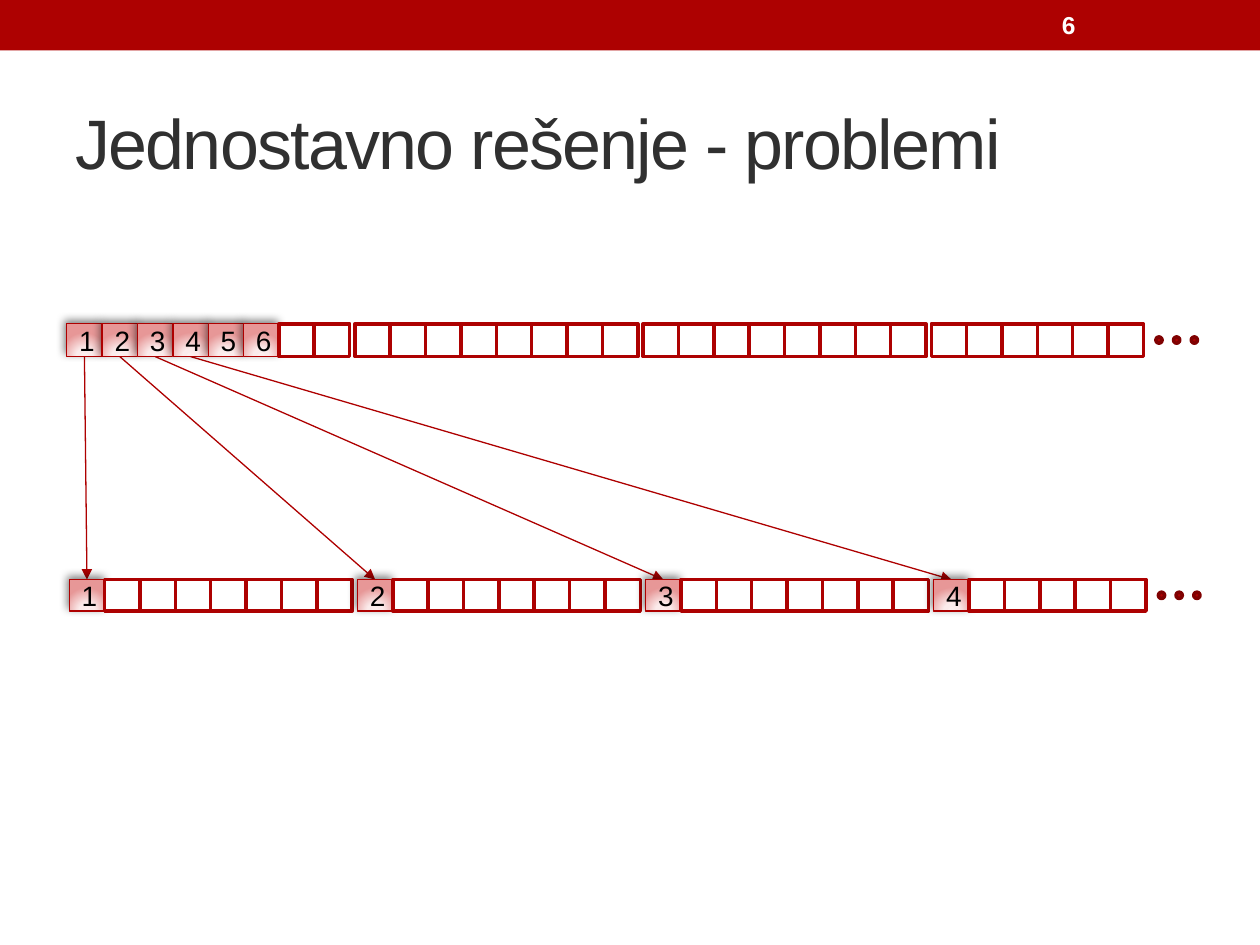
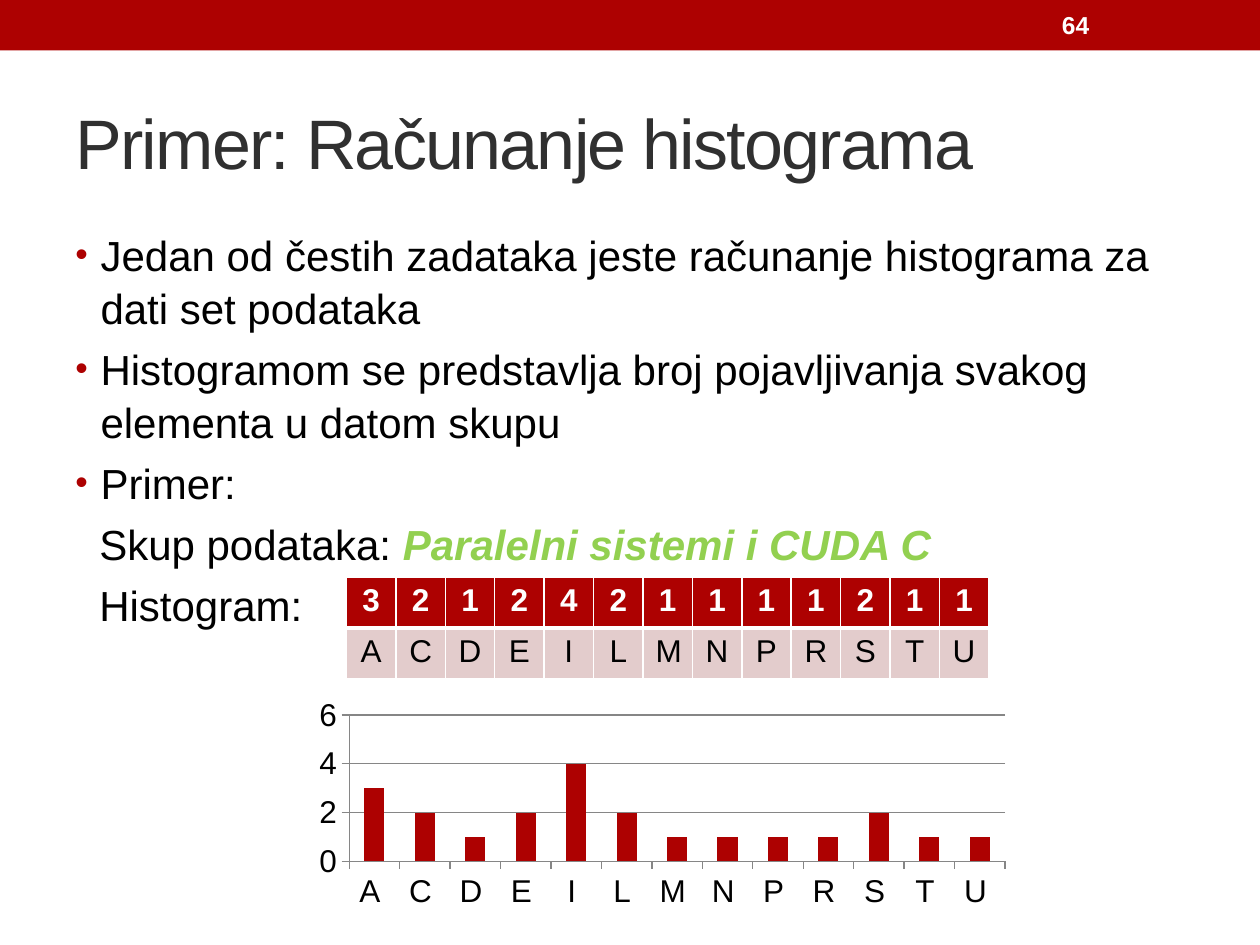
import pptx
import pptx.chart.data
import pptx.dml.color
import pptx.enum.chart
import pptx.enum.shapes
import pptx.enum.text
import pptx.oxml
import pptx.oxml.ns
import pptx.util

Pt = pptx.util.Pt
KIND = pptx.enum.shapes.MSO_SHAPE
ALIGN = pptx.enum.text.PP_ALIGN
MIDDLE = pptx.enum.text.MSO_ANCHOR.MIDDLE
DRAW = 'xmlns:a="http://schemas.openxmlformats.org/drawingml/2006/main"'

WIDE, HIGH = pptx.util.Inches(10), pptx.util.Inches(7.5)
UNIT = WIDE / 100

HUES = {
    "red": "AD0101", "edge": "AE0000", "dark": "800101", "pink": "E3CCCC",
    "white": "FFFFFF", "black": "000000", "title": "303030", "green": "92D050",
    "grey": "868686", "pale": "FDEFEF", "light": "FBEBEB", "rose": "E79797",
}
FORMS = {
    "title": {"name": "Arial", "size": Pt(40), "bold": False},
    "body": {"name": "Arial", "size": Pt(24), "bold": False},
    "set": {"name": "Arial", "size": Pt(24), "bold": True, "italic": True},
    "page": {"name": "Arial", "size": Pt(14), "bold": True},
    "mark": {"name": "Arial", "size": Pt(16), "bold": False},
    "head": {"name": "Arial", "size": Pt(18), "bold": True},
    "plain": {"name": "Arial", "size": Pt(18), "bold": False},
}
BAND = (0, 0, 100, 4)
TITLE = (5, 5.8, 90, 10.8)
PAGE = (83.3, 0.2, 11.7, 3.6)


def tint(name):
    """Return the named colour as an RGB value."""
    return pptx.dml.color.RGBColor.from_string(HUES[name])


def grid(*box):
    """Turn grid units into slide lengths."""
    return [round(part * UNIT) for part in box]


def apply(item, form):
    """Set each format value on the item."""
    for key, value in form.items():
        setattr(item, key, value)


def style(font, form, hue):
    """Give a font its format and colour."""
    apply(font, FORMS[form])
    font.color.rgb = tint(hue)


def node(text):
    """Build a drawing element from its tag and content."""
    return pptx.oxml.parse_xml(text.replace(" ", f" {DRAW} ", 1))


def write(para, text, form, hue):
    """Add a styled run to a paragraph."""
    run = para.add_run()
    run.text = text
    style(run.font, form, hue)
    return run


def shape(slide, kind, box, fill, edge=None, width=0):
    """Add a flat shape, with an edge if one is named."""
    item = slide.shapes.add_shape(kind, *grid(*box))
    item.shadow.inherit = False
    if fill:
        item.fill.solid()
        item.fill.fore_color.rgb = tint(fill)
    if edge:
        item.line.color.rgb = tint(edge)
        item.line.width = Pt(width)
    else:
        item.line.fill.background()
    return item


def label(slide, box, text, form, hue):
    """Add a single line of text, centred in height."""
    frame = slide.shapes.add_textbox(*grid(*box)).text_frame
    apply(frame, {"word_wrap": True, "vertical_anchor": MIDDLE})
    return write(frame.paragraphs[0], text, form, hue)


def start(deck, title, page):
    """Add a slide with the band, title and page number."""
    slide = deck.slides.add_slide(deck.slide_layouts[6])
    shape(slide, KIND.RECTANGLE, BAND, "red")
    run = label(slide, TITLE, title, "title", "title")
    run.font._element.set("spc", "-100")
    label(slide, PAGE, page, "page", "white")
    return slide


def glow(cell):
    """Give a cell its round gradient and soft shadow."""
    stops = "".join(
        f'<a:gs pos="{pos}"><a:srgbClr val="{HUES[hue]}"/></a:gs>'
        for pos, hue in ((0, "pale"), (34000, "light"), (100000, "rose")))
    props = cell.element.spPr
    props.insert(2, node(
        f'<a:gradFill rotWithShape="1"><a:gsLst>{stops}</a:gsLst><a:path path="circle">'
        '<a:fillToRect l="50000" t="155000" r="50000" b="-55000"/></a:path></a:gradFill>'))
    props.find(pptx.oxml.ns.qn("a:effectLst")).append(node(
        f'<a:outerShdw blurRad="{Pt(5)}" dist="{Pt(2)}" dir="{245 * 60000}" rotWithShape="0">'
        f'<a:srgbClr val="{HUES["black"]}"><a:alpha val="50000"/></a:srgbClr></a:outerShdw>'))


def strip(slide, box, marks):
    """Lay out memory cells in groups of eight, then three dots."""
    left, top, width, height = box
    step = width / 32
    cells = []
    for index in range(30):
        group, place = divmod(index, 8)
        spot = (left + step * (group * 8.15 + place), top, step, height)
        if index in marks:
            cell = shape(slide, KIND.RECTANGLE, spot, None, "edge", 0.75)
            glow(cell)
            para = cell.text_frame.paragraphs[0]
            para.alignment = ALIGN.CENTER
            write(para, str(marks.index(index) + 1), "mark", "black")
        else:
            cell = shape(slide, KIND.RECTANGLE, spot, "white", "red", 2)
        cells.append(cell)
    for index in range(3):
        spot = (left + step * (30.8 + index / 2), top + height * 0.4, 0.5, 0.5)
        shape(slide, KIND.OVAL, spot, "red", "dark", 2)
    return cells


def link(slide, first, last):
    """Draw an arrow behind the cells it joins."""
    arrow = slide.shapes.add_connector(pptx.enum.shapes.MSO_CONNECTOR.STRAIGHT, 0, 0, 0, 0)
    arrow.begin_connect(first, 2)
    arrow.end_connect(last, 0)
    arrow.line.color.rgb = tint("edge")
    arrow.line.width = Pt(0.75)
    arrow.line._get_or_add_ln().append(node('<a:tailEnd type="triangle"/>'))
    arrow.element.spPr.append(node("<a:effectLst />"))
    slide.shapes[3].element.addprevious(arrow.element)


def body(slide, box, paras):
    """Write bulleted and plain paragraphs of styled runs."""
    frame = slide.shapes.add_textbox(*grid(*box)).text_frame
    frame.word_wrap = True
    for index, (point, runs) in enumerate(paras):
        para = frame.add_paragraph() if index else frame.paragraphs[0]
        props = para._p.get_or_add_pPr()
        left, hang = grid(2, -2) if point else grid(1.9, 0)
        props.set("marL", str(left))
        props.set("indent", str(hang))
        if point:
            for text in (f'<a:buClr ><a:srgbClr val="{HUES["red"]}"/></a:buClr>',
                         '<a:buSzPct val="85000"/>', '<a:buFont typeface="Arial"/>',
                         '<a:buChar char="•"/>'):
                props.append(node(text))
        apply(para, {"line_spacing": 1.05, "space_before": Pt(4.8 if index else 0)})
        for run in runs:
            write(para, *run)


def edges(cell, base):
    """Draw white cell borders, with the given width below."""
    props = cell._tc.get_or_add_tcPr()
    for index, (side, width) in enumerate(zip("LRTB", (1, 1, 1, base))):
        props.insert(index, node(
            f'<a:ln{side} w="{Pt(width)}"><a:solidFill><a:srgbClr val="{HUES["white"]}"/>'
            f'</a:solidFill></a:ln{side}>'))


def table(slide, box, keys, counts):
    """Show the counts above their letters."""
    spot = grid(*box)
    rows = ((counts, "red", "head", "white", 3), (keys, "pink", "plain", "black", 1))
    sheet = slide.shapes.add_table(len(rows), len(keys), *spot).table
    for column in sheet.columns:
        column.width = round(spot[2] / len(keys))
    for row, (values, fill, form, hue, base) in enumerate(rows):
        for col, value in enumerate(values):
            cell = sheet.cell(row, col)
            cell.fill.solid()
            cell.fill.fore_color.rgb = tint(fill)
            edges(cell, base)
            para = cell.text_frame.paragraphs[0]
            para.alignment = ALIGN.CENTER
            write(para, str(value), form, hue)


def chart(slide, box, keys, counts):
    """Plot the counts as columns."""
    enum = pptx.enum.chart
    data = pptx.chart.data.CategoryChartData()
    data.categories = [f"{key} " for key in keys]
    data.add_series("Series 1", counts)
    graph = slide.shapes.add_chart(enum.XL_CHART_TYPE.COLUMN_CLUSTERED, *grid(*box), data).chart
    apply(graph, {"has_legend": False, "has_title": False})
    style(graph.font, "plain", "black")
    plot = graph.plots[0]
    apply(plot, {"gap_width": 150, "vary_by_categories": False})
    fill = plot.series[0].format.fill
    fill.solid()
    fill.fore_color.rgb = tint("red")
    ticks = {"major_tick_mark": enum.XL_TICK_MARK.OUTSIDE,
             "minor_tick_mark": enum.XL_TICK_MARK.NONE}
    scale = {"minimum_scale": 0, "maximum_scale": 6, "major_unit": 2,
             "has_major_gridlines": True}
    axis = graph.value_axis
    apply(axis, scale)
    for item in (axis, graph.category_axis):
        apply(item, ticks)
    for item in (axis, graph.category_axis, axis.major_gridlines):
        item.format.line.color.rgb = tint("grey")
        item.format.line.width = Pt(0.75)


def main():
    """Build both slides and save the deck."""
    deck = pptx.Presentation()
    apply(deck, {"slide_width": WIDE, "slide_height": HIGH})

    slide = start(deck, "Jednostavno rešenje - problemi", "6")
    threads = strip(slide, (5.3, 25.7, 89.8, 2.6), range(6))
    firsts = range(0, 30, 8)
    blocks = strip(slide, (5.5, 46, 89.8, 2.5), firsts)
    for index, first in enumerate(firsts):
        link(slide, threads[index], blocks[first])

    slide = start(deck, "Primer: Računanje histograma", "64")
    points = ("Jedan od čestih zadataka jeste računanje histograma za dati set podataka",
              "Histogramom se predstavlja broj pojavljivanja svakog elementa u datom skupu",
              "Primer:")
    paras = [(True, [(text, "body", "black")]) for text in points]
    paras += [(False, [("Skup podataka: ", "body", "black"),
                       ("Paralelni sistemi i CUDA C", "set", "green")]),
              (False, [("Histogram:", "body", "black")])]
    body(slide, (5, 17.5, 90, 53.3), paras)
    keys = "ACDEILMNPRSTU"
    counts = (3, 2, 1, 2, 4, 2, 1, 1, 1, 1, 2, 1, 1)
    table(slide, (27.5, 45.8, 51, 8.1), keys, counts)
    chart(slide, (24.2, 55, 56.7, 17.5), keys, counts)
    deck.save("out.pptx")


if __name__ == "__main__":
    main()
